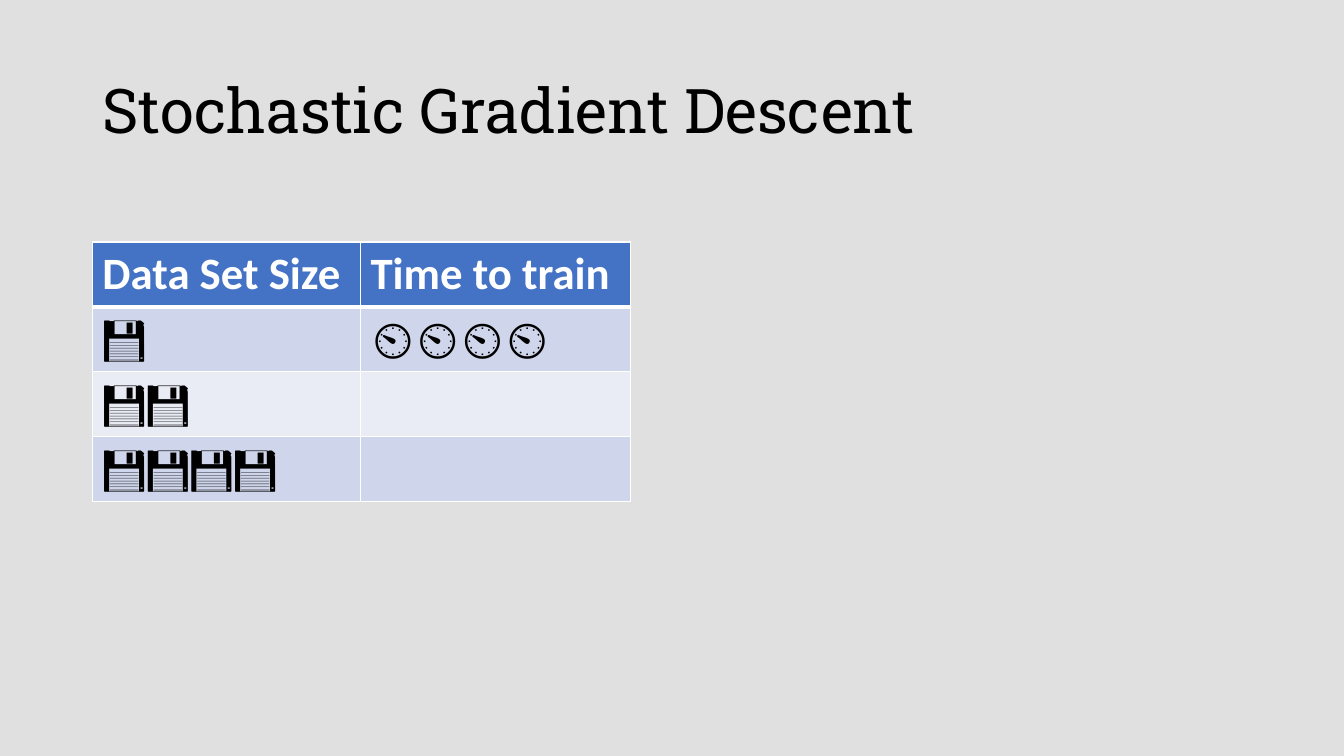
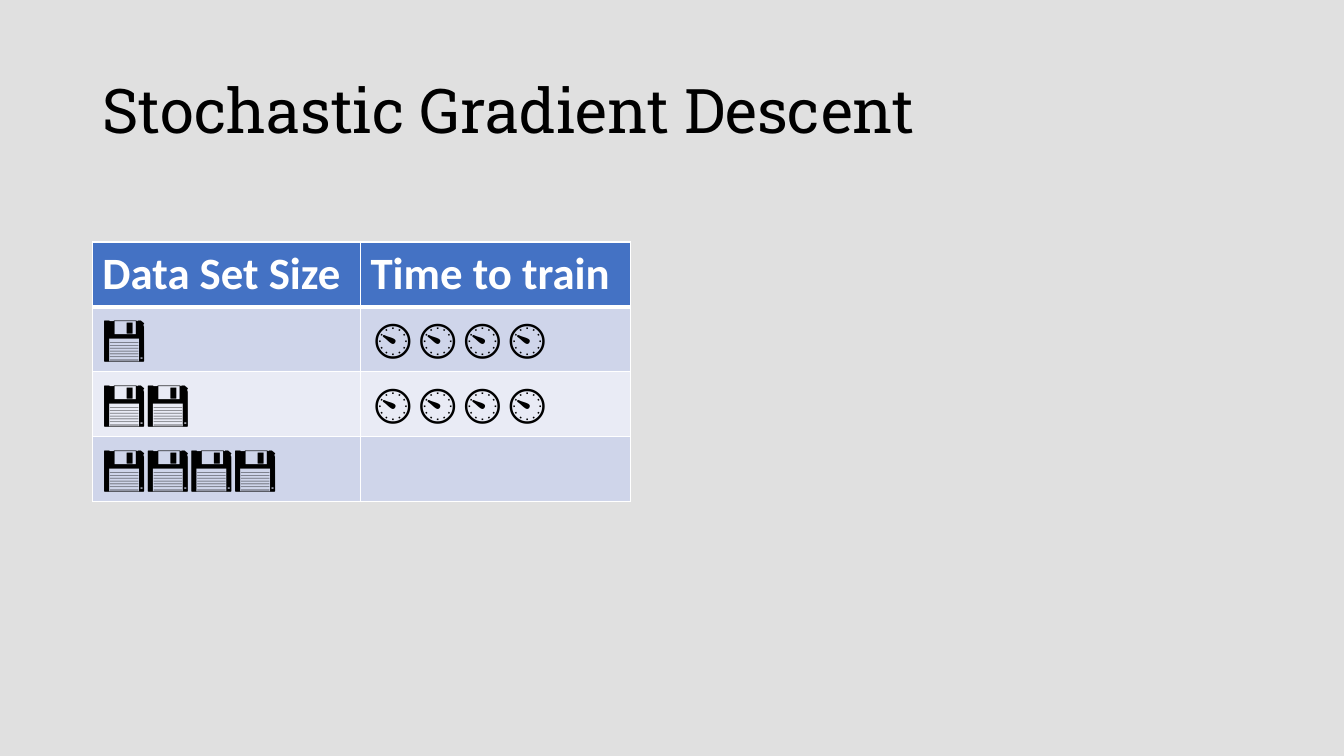
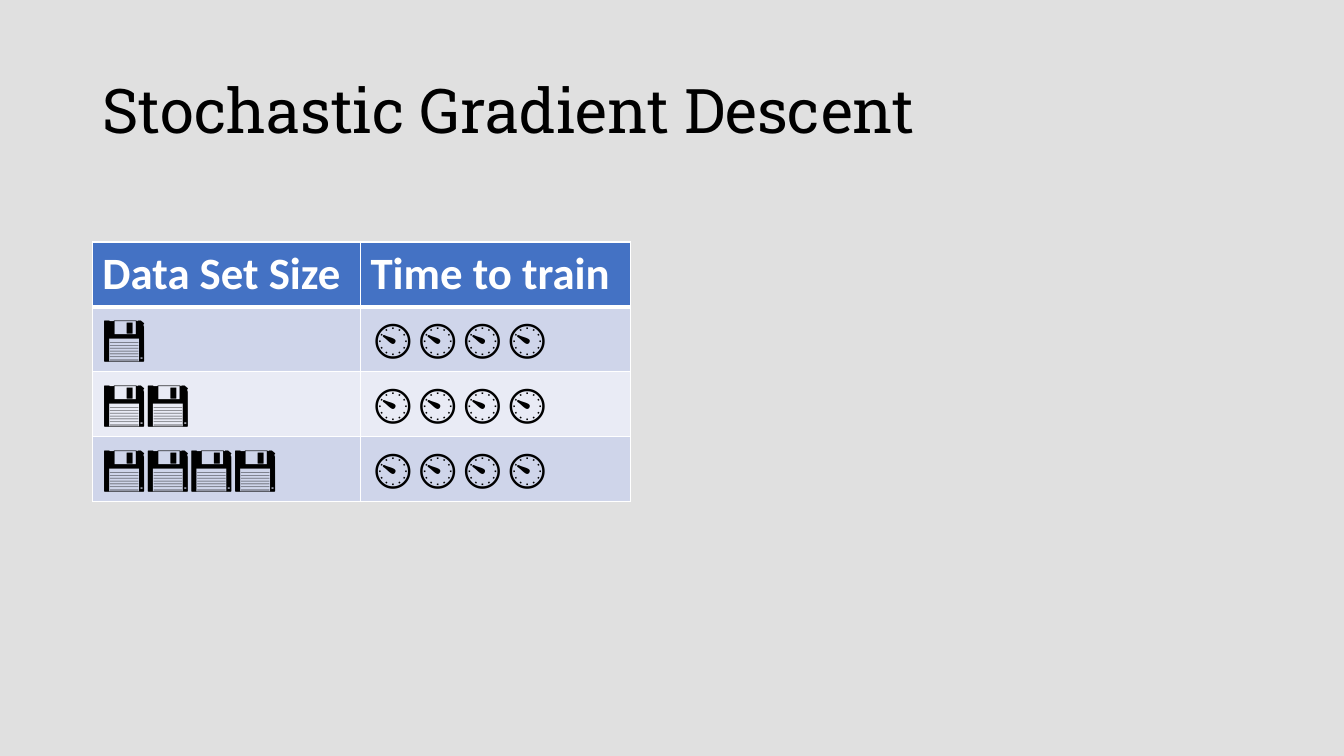
from lxml.etree import SubElement
from pptx import Presentation
from pptx.dml.color import RGBColor
from pptx.enum.text import MSO_ANCHOR, MSO_AUTO_SIZE, PP_ALIGN
from pptx.oxml.ns import qn
from pptx.util import Pt

BLACK = RGBColor(0x00, 0x00, 0x00)
WHITE = RGBColor(0xFF, 0xFF, 0xFF)
GREY = RGBColor(0xE0, 0xE0, 0xE0)
BLUE = RGBColor(0x44, 0x72, 0xC4)
BANDS = (RGBColor(0xE9, 0xEB, 0xF5), RGBColor(0xCF, 0xD5, 0xEA))

TITLE_FONT = {"name": "Roboto Slab", "size": Pt(44), "bold": False}
HEADER_FONT = {"name": "Calibri", "size": Pt(32), "bold": True}
BODY_FONT = {**HEADER_FONT, "bold": False}

DISK = "💾"
TIMER = "⏲"
HEADER = ("Data Set Size", "Time to train")
DISK_COUNTS = (1, 2, 4)
TIMER_COUNT = 4


def apply(target, values):
    for name, value in values.items():
        setattr(target, name, value)


class SlideBuilder:
    def __init__(self):
        self.deck = Presentation()
        apply(self.deck, {"slide_width": Pt(960), "slide_height": Pt(540)})
        fill = self.deck.slide_master.background.fill
        fill.solid()
        fill.fore_color.rgb = GREY
        self.page = None

    def add_page(self, title):
        self.page = self.deck.slides.add_slide(self.deck.slide_layouts[5])
        box = self.page.shapes.title
        apply(box, {"left": Pt(66), "top": Pt(28.8), "width": Pt(828), "height": Pt(104.4)})
        apply(box.text_frame, {
            "word_wrap": True,
            "auto_size": MSO_AUTO_SIZE.NONE,
            "vertical_anchor": MSO_ANCHOR.MIDDLE,
        })
        para = box.text_frame.paragraphs[0]
        apply(para, {"alignment": PP_ALIGN.LEFT, "line_spacing": 0.9})
        self.add_text(para, title, TITLE_FONT, BLACK)

    def add_text(self, para, text, font, color):
        span = para.add_run()
        span.text = text
        apply(span.font, font)
        span.font.color.rgb = color

    def add_border(self, cell, side, width):
        properties = cell._tc.get_or_add_tcPr()
        line = SubElement(properties, qn(f"a:ln{side}"), w=str(Pt(width)))
        fill = SubElement(line, qn("a:solidFill"))
        SubElement(fill, qn("a:srgbClr"), val=str(WHITE))

    def add_table(self, rows, widths, row_height):
        frame = self.page.shapes.add_table(
            len(rows), len(widths), Pt(66), Pt(172.8), Pt(sum(widths)), Pt(row_height * len(rows))
        )
        table = frame.table
        for column, width in zip(table.columns, widths):
            column.width = Pt(width)
        for index, texts in enumerate(rows):
            table.rows[index].height = Pt(row_height)
            for column, text in enumerate(texts):
                self.fill_cell(table.cell(index, column), text, index)

    def fill_cell(self, cell, text, row):
        is_header = row == 0
        widths = {"L": 1, "R": 1, "T": 3 if row == 1 else 1, "B": 3 if is_header else 1}
        for side, width in widths.items():
            self.add_border(cell, side, width)
        cell.fill.solid()
        cell.fill.fore_color.rgb = BLUE if is_header else BANDS[row % 2]
        if text:
            font, color = (HEADER_FONT, WHITE) if is_header else (BODY_FONT, BLACK)
            self.add_text(cell.text_frame.paragraphs[0], text, font, color)


def main():
    builder = SlideBuilder()
    for timed_rows in range(1, len(DISK_COUNTS) + 1):
        builder.add_page("Stochastic Gradient Descent")
        body = [
            (DISK * count, TIMER * TIMER_COUNT if index < timed_rows else "")
            for index, count in enumerate(DISK_COUNTS)
        ]
        builder.add_table([HEADER, *body], (191.5, 193), 46.4)
    builder.deck.save("out.pptx")


if __name__ == "__main__":
    main()
